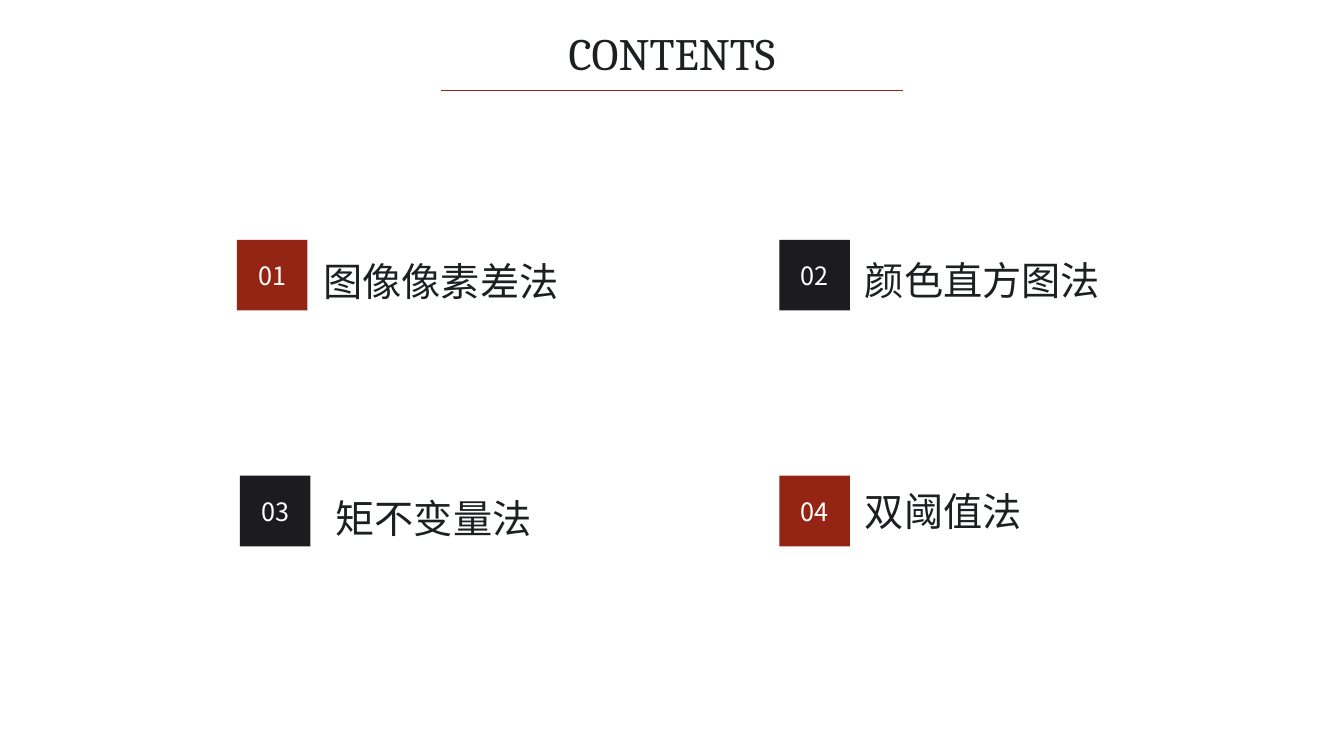
import dataclasses

import pptx
import pptx.dml.color
import pptx.enum.shapes
import pptx.enum.text
import pptx.oxml.ns
import pptx.util
from lxml import etree

SCALE = 9144


@dataclasses.dataclass(frozen=True)
class Theme:
    """Colours, typefaces and type sizes of the slide."""
    red: str = "942514"
    dark: str = "1C1C20"
    ink: str = "1C2020"
    white: str = "FFFFFF"
    title_font: str = "Cambria"
    body_font: str = "Noto Sans CJK SC"
    title_size: int = 32
    label_size: int = 28
    number_size: int = 18
    rule_width: float = 0.5


THEME = Theme()
TILE = 70


def px(*lengths):
    """Turn whole px lengths into EMU."""
    return [pptx.util.Emu(length * SCALE) for length in lengths]


def rgb(colour):
    """Return a colour object for a hex value."""
    return pptx.dml.color.RGBColor.from_string(colour)


def add_text(frame, text, size, font, colour, align):
    """Write one formatted run into the first paragraph of a frame."""
    para = frame.paragraphs[0]
    para.alignment = align
    span = para.add_run()
    span.text = text
    span.font.size = pptx.util.Pt(size)
    span.font.name = font
    span.font.color.rgb = rgb(colour)
    latin = span.font._element.find(pptx.oxml.ns.qn("a:latin"))
    east_asian = etree.Element(pptx.oxml.ns.qn("a:ea"), typeface=font)
    latin.addnext(east_asian)


def add_heading(page, left, top, width, height):
    """Place the title in the box and a rule beneath it."""
    title = page.shapes.title
    title.left, title.top, title.width, title.height = px(left, top, width, height)
    frame = title.text_frame
    frame.word_wrap = False
    frame.auto_size = pptx.enum.text.MSO_AUTO_SIZE.SHAPE_TO_FIT_TEXT
    frame.vertical_anchor = pptx.enum.text.MSO_ANCHOR.TOP
    add_text(frame, "CONTENTS", THEME.title_size, THEME.title_font, THEME.ink,
             pptx.enum.text.PP_ALIGN.CENTER)
    overhang = 107
    rule_top = top + height + 6
    rule = page.shapes.add_connector(
        pptx.enum.shapes.MSO_CONNECTOR.STRAIGHT,
        *px(left - overhang, rule_top, left + width + overhang, rule_top))
    rule.line.color.rgb = rgb(THEME.red)
    rule.line.width = pptx.util.Pt(THEME.rule_width)
    etree.SubElement(rule._element.spPr, pptx.oxml.ns.qn("a:effectLst"))


def add_entry(page, left, top, number, label, colour, label_offset, label_width):
    """Place a numbered tile with its label to the right."""
    tile = page.shapes.add_shape(pptx.enum.shapes.MSO_SHAPE.RECTANGLE,
                                 *px(left, top, TILE, TILE))
    tile.shadow.inherit = False
    tile.fill.solid()
    tile.fill.fore_color.rgb = rgb(colour)
    tile.line.fill.background()
    tile.text_frame.vertical_anchor = pptx.enum.text.MSO_ANCHOR.MIDDLE
    add_text(tile.text_frame, f"{number:02d}", THEME.number_size, THEME.body_font,
             THEME.white, pptx.enum.text.PP_ALIGN.CENTER)
    across, down = label_offset
    box = page.shapes.add_textbox(*px(left + across, top + down, label_width, 57))
    box.text_frame.word_wrap = True
    box.text_frame.auto_size = pptx.enum.text.MSO_AUTO_SIZE.SHAPE_TO_FIT_TEXT
    add_text(box.text_frame, label, THEME.label_size, THEME.body_font, THEME.ink,
             pptx.enum.text.PP_ALIGN.LEFT)


def add_contents(page, left, top):
    """Place the four entries in two rows and two columns."""
    column_step, row_step = 538, 234
    entries = [
        ("图像像素差法", THEME.red, 0, (76, 12), 303),
        ("颜色直方图法", THEME.dark, 0, (75, 11), 349),
        ("矩不变量法", THEME.dark, 3, (85, 13), 366),
        ("双阈值法", THEME.red, 0, (75, 7), 303),
    ]
    for index, (label, colour, shift, offset, width) in enumerate(entries):
        row, column = divmod(index, 2)
        add_entry(page, left + column * column_step + shift, top + row * row_step,
                  index + 1, label, colour, offset, width)


def main():
    """Build the contents slide and save the deck."""
    deck = pptx.Presentation()
    deck.slide_width, deck.slide_height = px(1333, 750)
    page = deck.slides.add_slide(deck.slide_layouts[5])
    add_heading(page, 544, 20, 245, 64)
    add_contents(page, 235, 238)
    deck.save("out.pptx")


if __name__ == "__main__":
    main()
